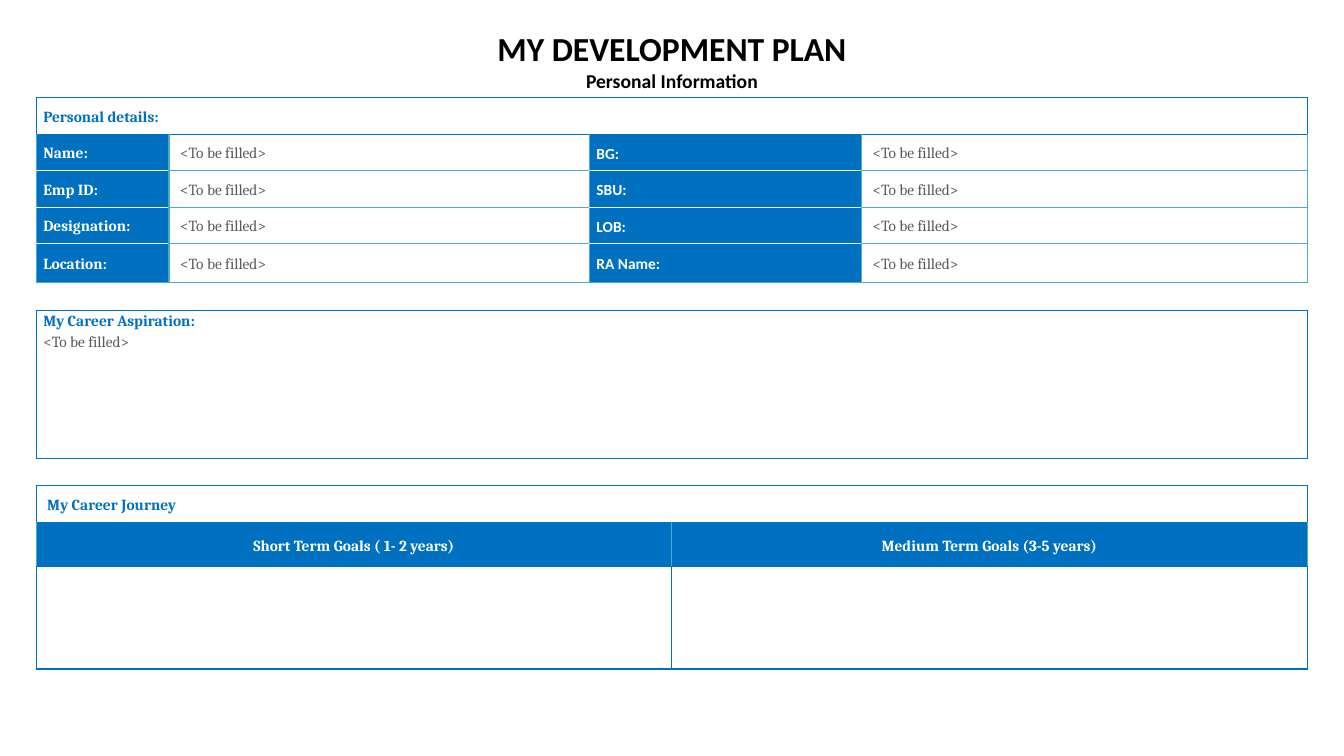
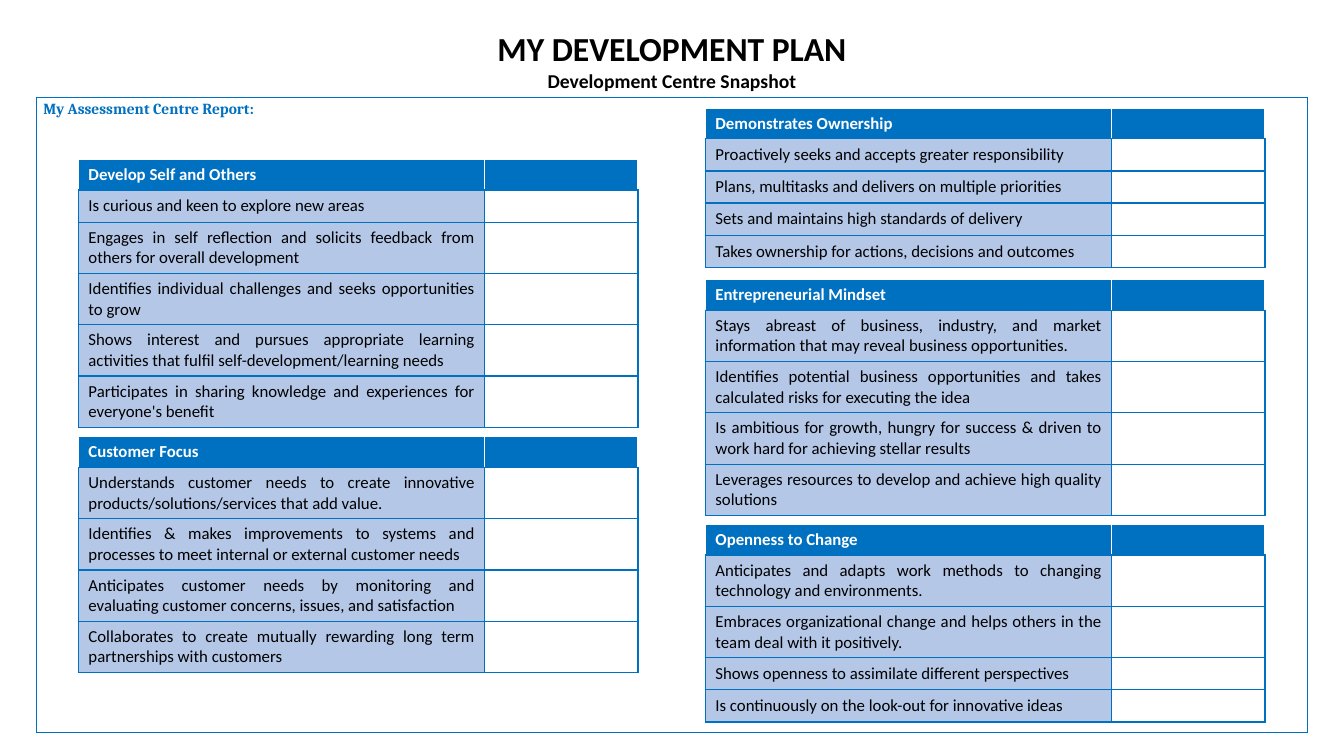
import pptx
import pptx.dml.color
import pptx.enum.text
import pptx.util
from lxml import etree

Cm, Pt = pptx.util.Cm, pptx.util.Pt
RGBColor = pptx.dml.color.RGBColor
ALIGN = pptx.enum.text.PP_ALIGN
ANCHOR = pptx.enum.text.MSO_ANCHOR

BLUE = RGBColor(0x00, 0x70, 0xC0)
TEAL = RGBColor(0x4B, 0xAC, 0xC6)
PALE_BLUE = RGBColor(0xB4, 0xC7, 0xE7)
GREY = RGBColor(0x59, 0x59, 0x59)
WHITE = RGBColor(0xFF, 0xFF, 0xFF)
BLACK = RGBColor(0x00, 0x00, 0x00)

DRAWING = "{http://schemas.openxmlformats.org/drawingml/2006/main}"
SLIDE_WIDTH = 33.87
FRAME_LEFT, FRAME_TOP, FRAME_WIDTH = 0.91, 2.46, 32.03
TO_FILL = "<To be filled>"
FORM_MARGINS = (0.18, 0)
INDENTED_MARGINS = (0.28, 0)
SKILL_MARGINS = (0.25, 0.13)


def add_grid(slide, left, top, widths, heights):
    """Add an unbanded table with the given column widths and row heights in cm."""
    frame = slide.shapes.add_table(len(heights), len(widths), Cm(left), Cm(top),
                                   Cm(sum(widths)), Cm(sum(heights)))
    table = frame.table
    table.first_row = table.horz_banding = False
    for column, width in zip(table.columns, widths):
        column.width = Cm(width)
    for row, height in zip(table.rows, heights):
        row.height = Cm(height)
    return table


def write_cell(cell, text="", color=BLUE, fill=None, font="Cambria", size=11, bold=True,
               align=ALIGN.LEFT, anchor=ANCHOR.MIDDLE, margins=FORM_MARGINS,
               spacing=1.15, borders=(BLUE,) * 4):
    """Fill a cell with styled text; borders run left, right, top, bottom."""
    properties = cell._tc.get_or_add_tcPr()
    for side, border in zip(("lnL", "lnR", "lnT", "lnB"), borders):
        line = etree.SubElement(properties, DRAWING + side, w=str(Pt(1)))
        solid = etree.SubElement(line, DRAWING + "solidFill")
        etree.SubElement(solid, DRAWING + "srgbClr", val=str(border))
    if fill is None:
        cell.fill.background()
    else:
        cell.fill.solid()
        cell.fill.fore_color.rgb = fill
    cell.vertical_anchor = anchor
    cell.margin_left, cell.margin_right = Cm(margins[0]), Cm(margins[0])
    cell.margin_top = cell.margin_bottom = Cm(margins[1])
    cell.text_frame.text = text
    for para in cell.text_frame.paragraphs:
        para.alignment = align
        para.line_spacing = spacing
        if not para.runs:
            etree.SubElement(para._p, DRAWING + "endParaRPr", sz=str(size * 100))
        for span in para.runs:
            span.font.name, span.font.size, span.font.bold = font, Pt(size), bold
            span.font.color.rgb = color


deck = pptx.Presentation()
deck.slide_width, deck.slide_height = Cm(SLIDE_WIDTH), Cm(19.05)

# Slides with the shared title style
slides = []
for subtitle in ("Personal Information", "Development Centre Snapshot"):
    slide = deck.slides.add_slide(deck.slide_layouts[5])
    title = slide.shapes.title
    title.left, title.top, title.width, title.height = Cm(0), Cm(0.58), Cm(SLIDE_WIDTH), Cm(1.88)
    title.text_frame.text = "MY DEVELOPMENT PLAN\n" + subtitle
    title.text_frame.auto_size = pptx.enum.text.MSO_AUTO_SIZE.NONE
    for para, size in zip(title.text_frame.paragraphs, (24, 14)):
        para.alignment = ALIGN.CENTER
        font = para.runs[0].font
        font.name, font.size, font.bold = "Calibri", Pt(size), True
        font.color.rgb = BLACK
    slides.append(slide)
personal, snapshot = slides

# Personal details
details = add_grid(personal, FRAME_LEFT, FRAME_TOP, [3.35, 10.59, 6.86, 11.23],
                   [0.92, 0.92, 0.92, 0.92, 0.97])
details.cell(0, 0).merge(details.cell(0, 3))
for column in range(4):
    write_cell(details.cell(0, column), "" if column else "Personal details:", fill=WHITE)
labels = [("Name:", "BG:"), ("Emp ID:", "SBU:"), ("Designation:", "LOB:"),
          ("Location:", "RA Name:")]
for row, pair in enumerate(labels, 1):
    first, last = row == 1, row == len(labels)
    label_borders = (TEAL, TEAL, BLUE if first else WHITE, TEAL if last else WHITE)
    value_borders = (TEAL, TEAL, BLUE if first else TEAL, TEAL)
    for index, (label, font) in enumerate(zip(pair, ("Cambria", "Calibri"))):
        write_cell(details.cell(row, 2 * index), label, WHITE, BLUE, font,
                   borders=label_borders)
        write_cell(details.cell(row, 2 * index + 1), TO_FILL, GREY, WHITE, bold=False,
                   margins=INDENTED_MARGINS, borders=value_borders)

# Career aspiration
aspiration = add_grid(personal, FRAME_LEFT, 7.82, [FRAME_WIDTH], [3.73]).cell(0, 0)
write_cell(aspiration, "My Career Aspiration:\n" + TO_FILL, anchor=ANCHOR.TOP)
answer = aspiration.text_frame.paragraphs[1].runs[0].font
answer.bold = False
answer.color.rgb = GREY

# Career journey
journey = add_grid(personal, FRAME_LEFT, 12.24, [FRAME_WIDTH / 2] * 2, [0.94, 1.09, 2.59])
journey.cell(0, 0).merge(journey.cell(0, 1))
goals = ("Short Term Goals ( 1- 2 years)", "Medium Term Goals (3-5 years)")
for column, goal in enumerate(goals):
    write_cell(journey.cell(0, column), "" if column else "My Career Journey",
               margins=INDENTED_MARGINS)
    write_cell(journey.cell(1, column), goal, WHITE, BLUE, align=ALIGN.CENTER,
               borders=(TEAL, TEAL, BLUE, BLUE))
    write_cell(journey.cell(2, column), fill=WHITE)

# Assessment report frame
report = add_grid(snapshot, FRAME_LEFT, FRAME_TOP, [FRAME_WIDTH], [16])
write_cell(report.cell(0, 0), "My Assessment Centre Report:", anchor=ANCHOR.TOP)

# Competency tables: left, top, heading, behaviours
LEFT_COLUMN, RIGHT_COLUMN = 1.98, 17.78
HEADING_HEIGHT, ONE_LINE, TWO_LINES = 0.77, 0.81, 1.28
LONGEST_LINE = 58
competencies = [
    (LEFT_COLUMN, 4.01, "Develop Self and Others", [
        "Is curious and keen to explore new areas",
        "Engages in self reflection and solicits feedback from others for overall development",
        "Identifies individual challenges and seeks opportunities to grow",
        "Shows interest and pursues appropriate learning activities that fulfil "
        "self-development/learning needs",
        "Participates in sharing knowledge and experiences for everyone's benefit"]),
    (RIGHT_COLUMN, 2.72, "Demonstrates Ownership", [
        "Proactively seeks and accepts greater responsibility",
        "Plans, multitasks and delivers on multiple priorities",
        "Sets and maintains high standards of delivery",
        "Takes ownership for actions, decisions and outcomes"]),
    (RIGHT_COLUMN, 7.04, "Entrepreneurial Mindset", [
        "Stays abreast of business, industry, and market information that may reveal "
        "business opportunities.",
        "Identifies potential business opportunities and takes calculated risks for "
        "executing the idea",
        "Is ambitious for growth, hungry for success & driven to work hard for achieving "
        "stellar results",
        "Leverages resources to develop and achieve high quality solutions"]),
    (LEFT_COLUMN, 11, "Customer Focus", [
        "Understands customer needs to create innovative products/solutions/services "
        "that add value.",
        "Identifies & makes improvements to systems and processes to meet internal or "
        "external customer needs",
        "Anticipates customer needs by monitoring and evaluating customer concerns, "
        "issues, and satisfaction",
        "Collaborates to create mutually rewarding long term partnerships with customers"]),
    (RIGHT_COLUMN, 13.21, "Openness to Change", [
        "Anticipates and adapts work methods to changing technology and environments.",
        "Embraces organizational change and helps others in the team deal with it positively.",
        "Shows openness to assimilate different perspectives",
        "Is continuously on the look-out for innovative ideas"]),
]
skill_style = dict(font="Calibri", size=12, margins=SKILL_MARGINS, spacing=1.0)
for left, top, heading, behaviours in competencies:
    heights = [TWO_LINES if len(text) > LONGEST_LINE else ONE_LINE for text in behaviours]
    skills = add_grid(snapshot, left, top, [10.24, 3.86], [HEADING_HEIGHT] + heights)
    for column, text in enumerate((heading, "")):
        write_cell(skills.cell(0, column), text, WHITE, BLUE,
                   borders=(WHITE, WHITE, WHITE, BLUE), **skill_style)
    for row, behaviour in enumerate(behaviours, 1):
        write_cell(skills.cell(row, 0), behaviour, BLACK, PALE_BLUE, bold=False,
                   align=ALIGN.JUSTIFY, **skill_style)
        write_cell(skills.cell(row, 1), fill=WHITE, **skill_style)

deck.save("out.pptx")
